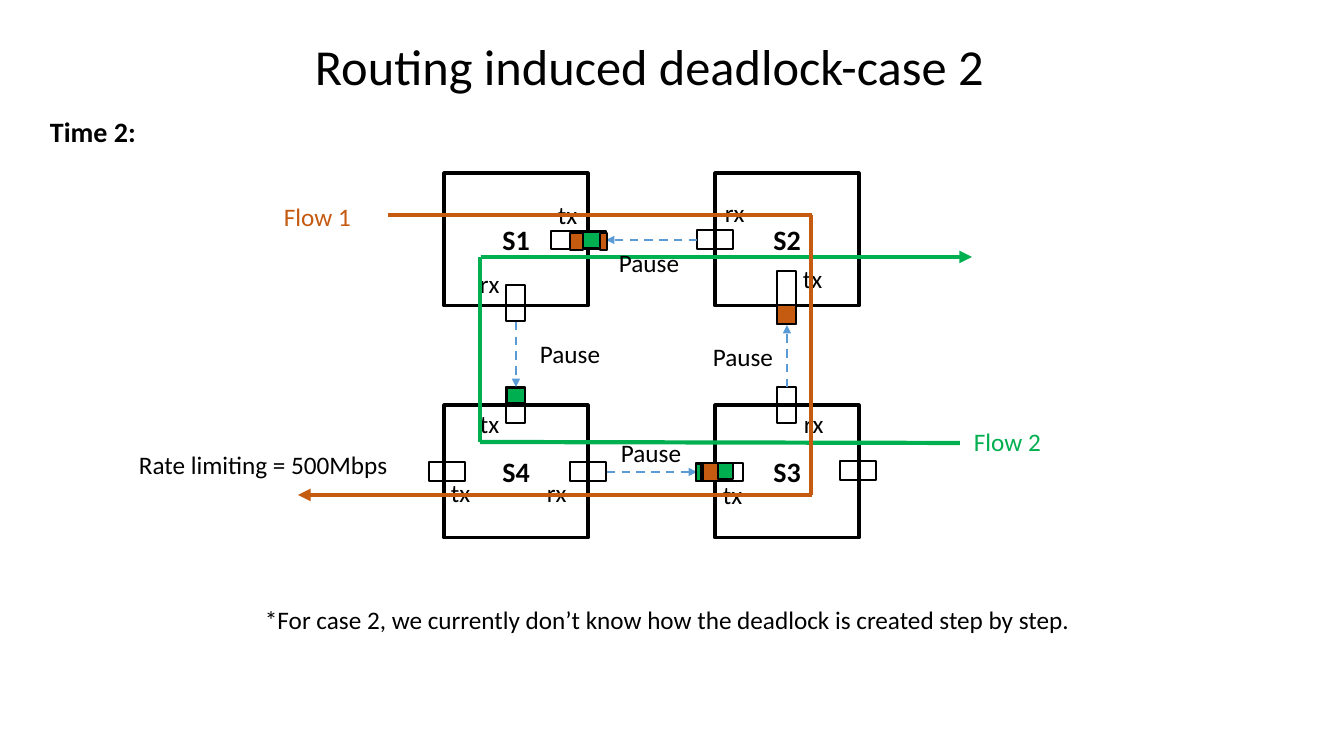
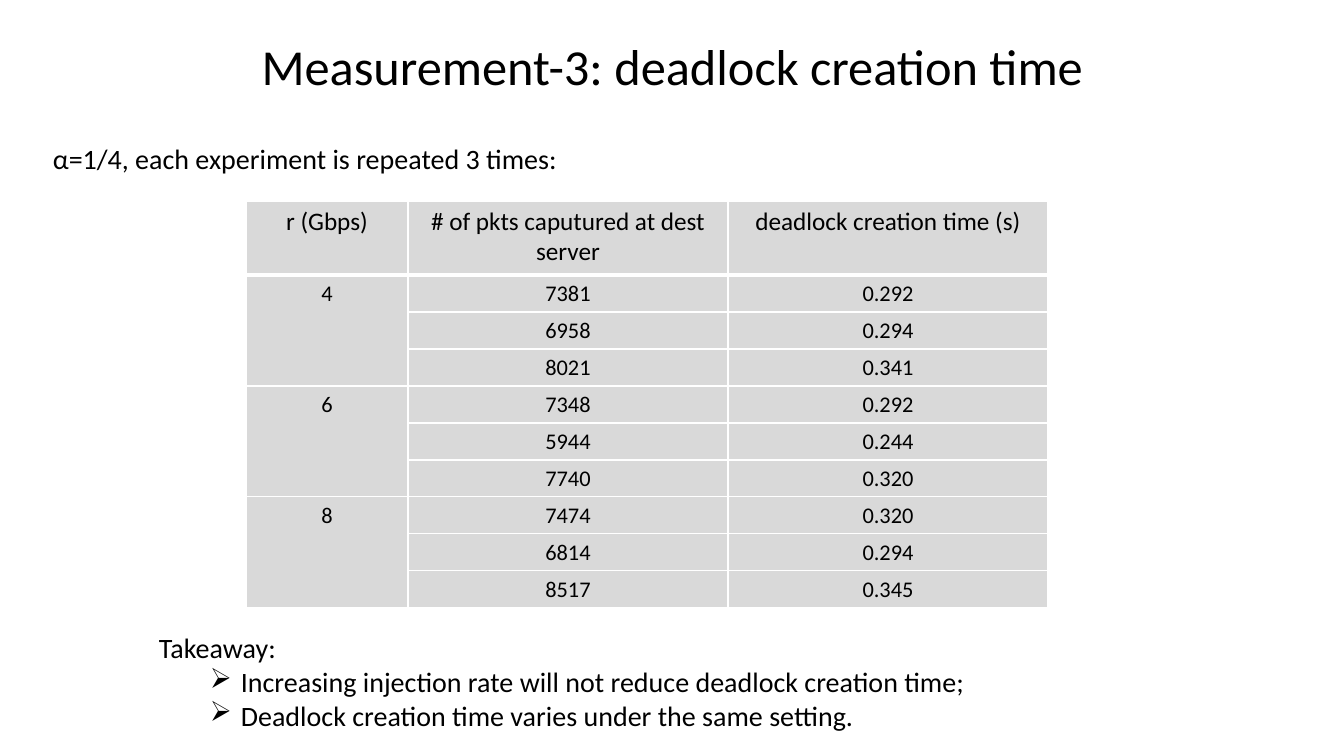
"""Build two slides on routing deadlocks: a four-switch diagram and a measurement table."""
from dataclasses import dataclass

from lxml import etree
from pptx import Presentation
from pptx.dml.color import RGBColor
from pptx.enum.dml import MSO_LINE
from pptx.enum.shapes import MSO_CONNECTOR, MSO_SHAPE
from pptx.enum.text import MSO_ANCHOR, MSO_AUTO_SIZE, PP_ALIGN
from pptx.oxml.ns import qn
from pptx.slide import Slide
from pptx.util import Emu, Pt

PIXELS_PER_INCH = 100.8
FONT = "Calibri"
BLACK = RGBColor(0x00, 0x00, 0x00)
WHITE = RGBColor(0xFF, 0xFF, 0xFF)
GREY = RGBColor(0xD9, 0xD9, 0xD9)
ORANGE = RGBColor(0xC5, 0x5A, 0x11)
GREEN = RGBColor(0x00, 0xB0, 0x50)
BLUE = RGBColor(0x5B, 0x9B, 0xD5)
LEFT = PP_ALIGN.LEFT
CENTER = PP_ALIGN.CENTER
MIDDLE = MSO_ANCHOR.MIDDLE
FIT_SHAPE = MSO_AUTO_SIZE.SHAPE_TO_FIT_TEXT
RECTANGLE = MSO_SHAPE.RECTANGLE
STRAIGHT = MSO_CONNECTOR.STRAIGHT
DASH = MSO_LINE.DASH


@dataclass(frozen=True)
class Box:
    """A rectangle with an outline and an optional fill and name."""
    left: int
    top: int
    width: int
    height: int
    fill: RGBColor | None = None
    weight: float = 1
    name: str = ""


@dataclass(frozen=True)
class Label:
    """A text box with one paragraph for each line."""
    lines: tuple[str, ...]
    left: int
    top: int
    width: int
    height: int = 40
    size: int = 18
    color: RGBColor = BLACK
    bold: bool = False
    align: PP_ALIGN = LEFT
    wrap: bool = False


@dataclass(frozen=True)
class Link:
    """A straight line that may end in an arrowhead."""
    start: tuple[int, int]
    end: tuple[int, int]
    color: RGBColor
    weight: float = 3
    arrow: bool = False
    dashed: bool = False


def px(length: float) -> Emu:
    """Turn pixels into EMU."""
    return Emu(round(length * 914400 / PIXELS_PER_INCH))


def style_para(para, size: int, color: RGBColor = BLACK, bold: bool = False,
               align: PP_ALIGN = LEFT) -> None:
    """Format a paragraph and its runs."""
    para.alignment = align
    for span in para.runs:
        span.font.name = FONT
        span.font.size = Pt(size)
        span.font.bold = bold
        span.font.color.rgb = color


def draw_box(page: Slide, box: Box) -> None:
    """Draw a switch, port or packet."""
    shape = page.shapes.add_shape(RECTANGLE, px(box.left), px(box.top), px(box.width), px(box.height))
    shape.shadow.inherit = False
    if box.fill is None:
        shape.fill.background()
    else:
        shape.fill.solid()
        shape.fill.fore_color.rgb = box.fill
    shape.line.color.rgb = BLACK
    shape.line.width = Pt(box.weight)
    if box.name:
        shape.text_frame.text = box.name
        shape.text_frame.vertical_anchor = MIDDLE
        style_para(shape.text_frame.paragraphs[0], 20, bold=True, align=CENTER)


def draw_label(page: Slide, label: Label):
    """Draw a text box and return its text frame."""
    box = page.shapes.add_textbox(px(label.left), px(label.top), px(label.width), px(label.height))
    frame = box.text_frame
    frame.text = "\n".join(label.lines)
    frame.word_wrap = label.wrap
    frame.auto_size = FIT_SHAPE
    for para in frame.paragraphs:
        style_para(para, label.size, label.color, label.bold, label.align)
    return frame


def draw_title(page: Slide, text: str, left: int) -> None:
    """Draw the slide title."""
    draw_label(page, Label((text,), left, 30, 1171, 72, 36, align=CENTER, wrap=True))


def draw_link(page: Slide, link: Link) -> None:
    """Draw a flow segment or a pause arrow."""
    line = page.shapes.add_connector(STRAIGHT, *map(px, link.start + link.end))
    line.line.color.rgb = link.color
    line.line.width = Pt(link.weight)
    if link.dashed:
        line.line.dash_style = DASH
    properties = line._element.spPr
    if link.arrow:
        etree.SubElement(properties.find(qn("a:ln")), qn("a:tailEnd"), type="triangle")
    etree.SubElement(properties, qn("a:effectLst"))


def add_bullet(para, mark: str, margin: int, indent: int) -> None:
    """Give a paragraph a hanging bullet."""
    para.level = 1
    properties = para._p.get_or_add_pPr()
    properties.set("marL", str(px(margin)))
    properties.set("indent", str(px(indent)))
    etree.SubElement(properties, qn("a:buChar"), char=mark)


def style_cell(cell, size: int, bottom_weight: float) -> None:
    """Set the borders, fill and text style of a table cell."""
    properties = cell._tc.get_or_add_tcPr()
    for side, weight in (("L", 1), ("R", 1), ("T", 1), ("B", bottom_weight)):
        border = etree.SubElement(properties, qn(f"a:ln{side}"), w=str(Pt(weight)))
        paint = etree.SubElement(border, qn("a:solidFill"))
        etree.SubElement(paint, qn("a:srgbClr"), val=str(WHITE))
    cell.fill.solid()
    cell.fill.fore_color.rgb = GREY
    style_para(cell.text_frame.paragraphs[0], size, align=CENTER)


SWITCHES = [
    Box(left, top, 144, 133, weight=2.25, name=name)
    for name, left, top in (("S1", 444, 173), ("S2", 715, 173), ("S3", 715, 405), ("S4", 444, 405))
]
PORTS = [
    Box(551, 231, 55, 18),
    Box(696, 463, 47, 18),
    Box(777, 271, 19, 53),
    *(Box(left, top, 36, 19) for left, top in ((697, 230), (570, 462), (429, 462), (840, 461))),
    *(Box(left, top, 19, 36) for left, top in ((506, 285), (506, 387), (777, 387))),
]
PACKETS = [
    Box(777, 305, 19, 19, ORANGE),
    Box(703, 463, 18, 18, ORANGE),
    Box(696, 464, 5, 17, GREEN),
    Box(582, 232, 18, 16, GREEN),
    Box(507, 388, 18, 15, GREEN),
    Box(600, 233, 7, 17, ORANGE),
    Box(570, 233, 13, 17, ORANGE),
    Box(718, 463, 15, 16, GREEN),
]
PORT_LABELS = [
    Label((name,), left, top, 40)
    for name, places in (
        ("rx", ((470, 263), (715, 192), (794, 403), (537, 472))),
        ("tx", ((548, 194), (793, 258), (470, 403), (713, 474), (441, 472))),
    )
    for left, top in places
]
FLOWS = [
    Link((481, 257), (972, 257), GREEN, arrow=True),
    Link((960, 443), (480, 442), GREEN),
    Link((480, 257), (480, 442), GREEN),
    Link((388, 215), (812, 215), ORANGE),
    Link((811, 215), (811, 495), ORANGE),
    Link((812, 495), (298, 495), ORANGE, arrow=True),
]
PAUSES = [
    Link(start, end, BLUE, 1.5, arrow=True, dashed=True)
    for start, end in (
        ((516, 322), (516, 387)),
        ((787, 387), (787, 325)),
        ((697, 240), (606, 240)),
        ((607, 472), (697, 472)),
    )
]
NOTES = [
    *(Label(("Pause",), left, top, 81)
      for left, top in ((703, 336), (530, 333), (609, 242), (611, 432))),
    Label(("Flow 1",), 274, 196, 88, color=ORANGE),
    Label(("Flow 2",), 964, 421, 88, color=GREEN),
    Label(("Time 2:",), 40, 110, 107, 44, 20, bold=True),
    Label(("Rate limiting = 500Mbps",), 129, 444, 272),
    Label(("*For case 2, we currently don’t know how the deadlock is created step by step.",),
          255, 599, 835),
]
HEADINGS = ("r (Gbps)", "# of pkts caputured at dest server", "deadlock creation time (s)")
MEASUREMENTS = {
    "4": (("7381", "0.292"), ("6958", "0.294"), ("8021", "0.341")),
    "6": (("7348", "0.292"), ("5944", "0.244"), ("7740", "0.320")),
    "8": (("7474", "0.320"), ("6814", "0.294"), ("8517", "0.345")),
}
COLUMN_WIDTHS = (162, 320, 320)
ROW_HEIGHTS = (74, *[37] * 9)


def build_diagram(page: Slide) -> None:
    """Draw the switches, their queues and the two flows."""
    for box in SWITCHES + PORTS:
        draw_box(page, box)
    for label in PORT_LABELS:
        draw_label(page, label)
    for link in FLOWS + PAUSES:
        draw_link(page, link)
    for box in PACKETS:
        draw_box(page, box)
    for label in NOTES:
        draw_label(page, label)
    draw_title(page, "Routing induced deadlock-case 2", 64)


def build_table(page: Slide) -> None:
    """Draw the measured deadlock creation times."""
    rows = [HEADINGS]
    for rate, trials in MEASUREMENTS.items():
        rows += [(rate if index == 0 else "", *trial) for index, trial in enumerate(trials)]
    table = page.shapes.add_table(len(rows), len(HEADINGS), px(246), px(201),
                                  px(sum(COLUMN_WIDTHS)), px(sum(ROW_HEIGHTS))).table
    table.first_row = False
    table.horz_banding = False
    for column, width in zip(table.columns, COLUMN_WIDTHS):
        column.width = px(width)
    for row, height in zip(table.rows, ROW_HEIGHTS):
        row.height = px(height)
    for row_index, values in enumerate(rows):
        size, bottom_weight = (18, 3) if row_index == 0 else (16, 1)
        for column_index, value in enumerate(values):
            cell = table.cell(row_index, column_index)
            cell.text = value
            style_cell(cell, size, bottom_weight)
    first = 1
    for trials in MEASUREMENTS.values():
        last = first + len(trials) - 1
        table.cell(first, 0).merge(table.cell(last, 0))
        first = last + 1


def build_measurement(page: Slide) -> None:
    """Draw the measurement slide."""
    draw_title(page, "Measurement-3: deadlock creation time", 87)
    build_table(page)
    draw_label(page, Label(("α=1/4, each experiment is repeated 3 times:",),
                           40, 137, 530, 44, 20, align=CENTER))
    takeaway = draw_label(page, Label((
        "Takeaway:",
        "Increasing injection rate will not reduce deadlock creation time;",
        "Deadlock creation time varies under the same setting.",
    ), 149, 626, 841, 112, 20))
    for para in takeaway.paragraphs[1:]:
        add_bullet(para, "➢", 82, -31)


def main() -> None:
    """Build and save the deck."""
    deck = Presentation()
    deck.slide_width = px(1344)
    deck.slide_height = px(756)
    for build in (build_diagram, build_measurement):
        build(deck.slides.add_slide(deck.slide_layouts[6]))
    deck.save("out.pptx")


main()
